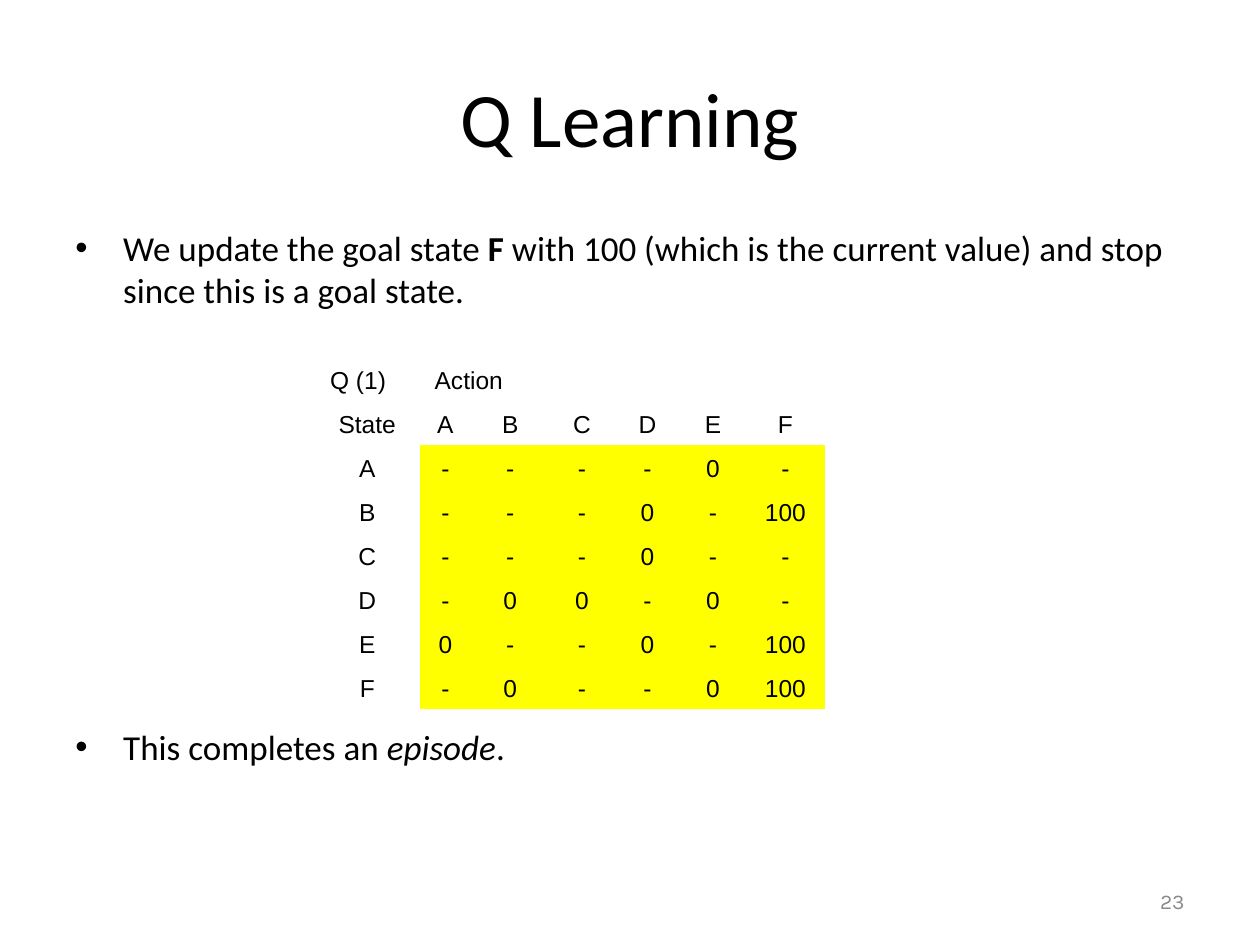
from lxml import etree
from pptx import Presentation
from pptx.dml.color import RGBColor
from pptx.enum.text import MSO_ANCHOR, PP_ALIGN
from pptx.oxml.ns import qn
from pptx.util import Inches, Pt

LEFT, CENTER, RIGHT = PP_ALIGN.LEFT, PP_ALIGN.CENTER, PP_ALIGN.RIGHT
MIDDLE, BOTTOM = MSO_ANCHOR.MIDDLE, MSO_ANCHOR.BOTTOM
BLACK = RGBColor(0x00, 0x00, 0x00)
GRAY = RGBColor(0x89, 0x89, 0x89)
YELLOW = RGBColor(0xFF, 0xFF, 0x00)
NO_STYLE_NO_GRID = "{2D5ABB26-0587-4C30-8999-92F81FD0307C}"


def style_run(run, font_name, size, color=BLACK):
    run.font.name = font_name
    run.font.size = Pt(size)
    run.font.color.rgb = color


def add_bullet(paragraph):
    properties = paragraph._p.get_or_add_pPr()
    properties.set("marL", str(Inches(0.38)))
    properties.set("indent", str(-Inches(0.38)))
    etree.SubElement(properties, qn("a:buFont"), typeface="Arial")
    etree.SubElement(properties, qn("a:buChar"), char="•")


prs = Presentation()
prs.slide_width, prs.slide_height = Inches(10), Inches(7.5)
slide = prs.slides.add_slide(prs.slide_layouts[5])

# Title
title = slide.shapes.title
title.left, title.top = Inches(0.5), Inches(0.3)
title.width, title.height = Inches(9), Inches(1.25)
title.text_frame.text = "Q Learning"
title.text_frame.vertical_anchor = MIDDLE
heading = title.text_frame.paragraphs[0]
heading.alignment = CENTER
style_run(heading.runs[0], "Calibri", 44)

# Bullets above and below the table
body = slide.shapes.add_textbox(Inches(0.5), Inches(1.75), Inches(9), Inches(4.95)).text_frame
body.word_wrap = True
update_step = body.paragraphs[0]
episode_end = body.add_paragraph()
episode_end.space_before = Pt(237)
bullets = [
    (update_step, ["We update the goal state ", "F",
                   " with 100 (which is the current value) and stop since this is a goal state."]),
    (episode_end, ["This completes an ", "episode", "."]),
]
for paragraph, pieces in bullets:
    add_bullet(paragraph)
    for piece in pieces:
        run = paragraph.add_run()
        run.text = piece
        style_run(run, "Calibri", 20)
update_step.runs[1].font.bold = True
episode_end.runs[1].font.italic = True

# Slide number
number = slide.shapes.add_textbox(Inches(7.17), Inches(6.95), Inches(2.33), Inches(0.4)).text_frame
number.word_wrap = True
number.vertical_anchor = MIDDLE
number.text = "23"
number.paragraphs[0].alignment = RIGHT
style_run(number.paragraphs[0].runs[0], "Karla", 12, GRAY)

# Q table
q_values = [
    ["Q (1)", "Action", "", "", "", "", ""],
    ["State", "A", "B", "C", "D", "E", "F"],
    ["A", "-", "-", "-", "-", "0", "-"],
    ["B", "-", "-", "-", "0", "-", "100"],
    ["C", "-", "-", "-", "0", "-", "-"],
    ["D", "-", "0", "0", "-", "0", "-"],
    ["E", "0", "-", "-", "0", "-", "100"],
    ["F", "-", "0", "-", "-", "0", "100"],
]
column_widths = [0.83, 0.41, 0.62, 0.52, 0.52, 0.52, 0.63]
q_table = slide.shapes.add_table(len(q_values), len(column_widths), Inches(2.5), Inches(2.83),
                                 Inches(4.05), Inches(2.8)).table
q_table.first_row = q_table.horz_banding = False
q_table._tbl.tblPr.find(qn("a:tableStyleId")).text = NO_STYLE_NO_GRID
for column, width in zip(q_table.columns, column_widths):
    column.width = Inches(width)

for r, row in enumerate(q_values):
    q_table.rows[r].height = Inches(0.35)
    for c, value in enumerate(row):
        cell = q_table.cell(r, c)
        cell.margin_left = cell.margin_right = Inches(0.12)
        cell.vertical_anchor = BOTTOM
        if r >= 2 and c >= 1:
            cell.fill.solid()
            cell.fill.fore_color.rgb = YELLOW
        else:
            cell.fill.background()
        paragraph = cell.text_frame.paragraphs[0]
        paragraph.alignment = LEFT if r == 0 else CENTER
        if value:
            paragraph.text = value
            style_run(paragraph.runs[0], "Arial", 14)
        else:
            # Keeps an empty cell from stretching its row
            etree.SubElement(paragraph._p, qn("a:endParaRPr"), sz="1400")
q_table.cell(0, 1).merge(q_table.cell(0, 2))

prs.save("out.pptx")
